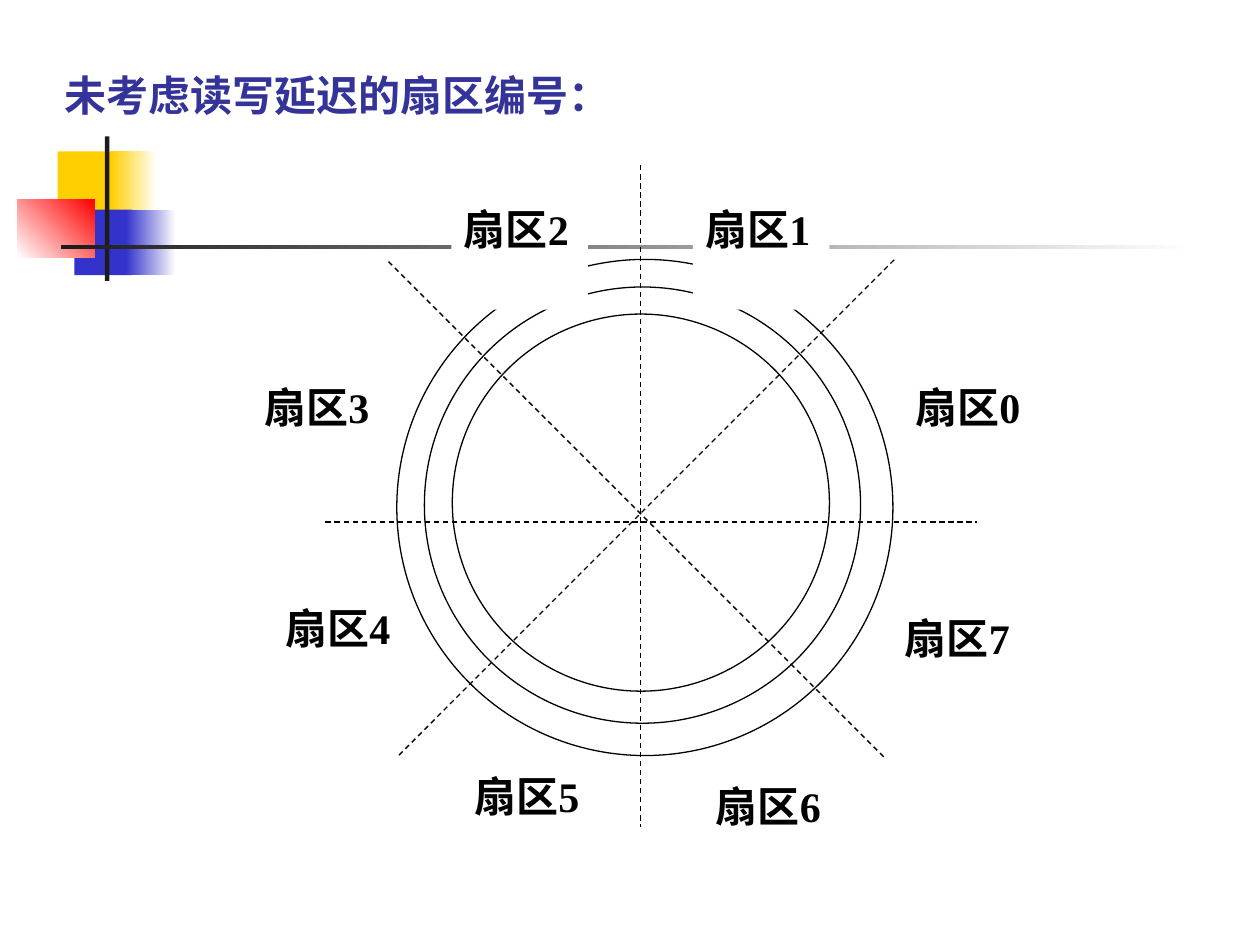
"""Build the slide on disk sector numbering without read/write delay."""
from lxml.etree import SubElement
from pptx import Presentation
from pptx.dml.color import RGBColor
from pptx.enum.dml import MSO_LINE
from pptx.enum.shapes import MSO_CONNECTOR, MSO_SHAPE as Shape
from pptx.enum.text import MSO_ANCHOR, MSO_AUTO_SIZE, PP_ALIGN
from pptx.oxml.ns import qn
from pptx.util import Pt

COLORS = {
    "white": "FFFFFF",
    "black": "000000",
    "yellow": "FFCF01",
    "blue": "3333CC",
    "red": "FF0000",
    "charcoal": "1C1C1C",
    "title": "333399",
}


def color(name):
    return RGBColor.from_string(COLORS[name])


def write(text, *, shape, ink="black", size=24, bold=True, font="Times New Roman"):
    frame = shape.text_frame
    frame.word_wrap = True
    frame.auto_size = MSO_AUTO_SIZE.SHAPE_TO_FIT_TEXT
    frame.vertical_anchor = MSO_ANCHOR.TOP
    para = frame.paragraphs[0]
    para.alignment = PP_ALIGN.LEFT
    span = para.add_run()
    span.text = text
    span.font.name = font
    span.font.size = Pt(size)
    span.font.bold = bold
    span.font.color.rgb = color(ink)


deck = Presentation()
deck.slide_width, deck.slide_height = Pt(720), Pt(540)
page = deck.slides.add_slide(deck.slide_layouts[6])

decorations = [
    (33, 86.5, 34.5, 37.5, ["yellow"], 0),
    (63.5, 86.5, 26, 37.5, ["yellow", "white"], 0),
    (42.5, 119.75, 33, 37.5, ["blue"], 0),
    (72, 119.75, 28.5, 37.5, ["blue", "white"], 0),
    (10, 113.75, 44, 33.5, ["white", "red"], 45),
    (60, 78, 2.5, 82.5, ["charcoal"], 0),
    (34.75, 140, 648, 2.5, ["charcoal", "white"], 0),
]
for left, top, width, height, tones, angle in decorations:
    block = page.shapes.add_shape(Shape.RECTANGLE, Pt(left), Pt(top), Pt(width), Pt(height))
    block.shadow.inherit = False
    block.line.fill.background()
    if len(tones) == 1:
        block.fill.solid()
        block.fill.fore_color.rgb = color(tones[0])
    else:
        block.fill.gradient()
        block.fill.gradient_angle = angle
        for stop, tone in zip(block.fill.gradient_stops, tones):
            stop.color.rgb = color(tone)

title = page.shapes.add_textbox(Pt(30), Pt(36), Pt(624), Pt(36))
write("未考虑读写延迟的扇区编号：", shape=title, ink="title")

tracks = [(226.75, 148.25, 283.5), (242.5, 164, 249.25), (258.5, 179.5, 215.5)]
for left, top, diameter in tracks:
    track = page.shapes.add_shape(Shape.OVAL, Pt(left), Pt(top), Pt(diameter), Pt(diameter))
    track.shadow.inherit = False
    track.fill.solid()
    track.fill.fore_color.rgb = color("white")
    track.line.color.rgb = color("black")
    track.line.width = Pt(0.75)

dividers = [
    (222, 149.5, 505.5, 433),
    (228, 431.5, 511, 148.5),
    (366, 94.5, 366, 472.5),
    (186, 298.25, 558, 298.25),
]
for ends in dividers:
    divider = page.shapes.add_connector(MSO_CONNECTOR.STRAIGHT, *map(Pt, ends))
    divider.line.color.rgb = color("black")
    divider.line.width = Pt(0.75)
    divider.line.dash_style = MSO_LINE.DASH
    SubElement(divider.element.spPr, qn("a:effectLst"))

sector_corners = [
    (516, 214.5), (396, 112.5), (258, 112.5), (144, 214.5),
    (156, 340.5), (264, 436.5), (402, 442.5), (510, 346.5),
]
for number, (left, top) in enumerate(sector_corners):
    label = page.shapes.add_shape(Shape.RECTANGLE, Pt(left), Pt(top), Pt(78), Pt(64.5))
    label.shadow.inherit = False
    label.fill.solid()
    label.fill.fore_color.rgb = color("white")
    label.line.fill.background()
    write(f"扇区{number}", shape=label)

deck.save("out.pptx")
